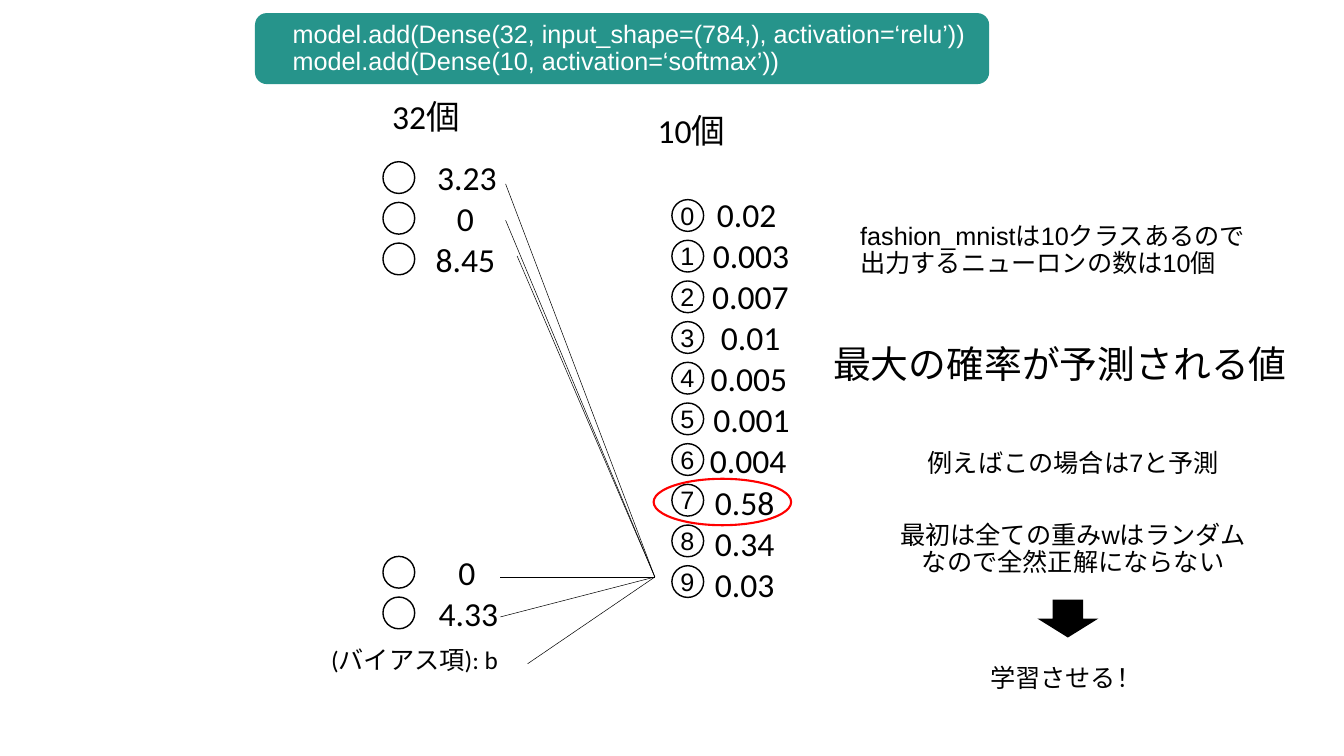
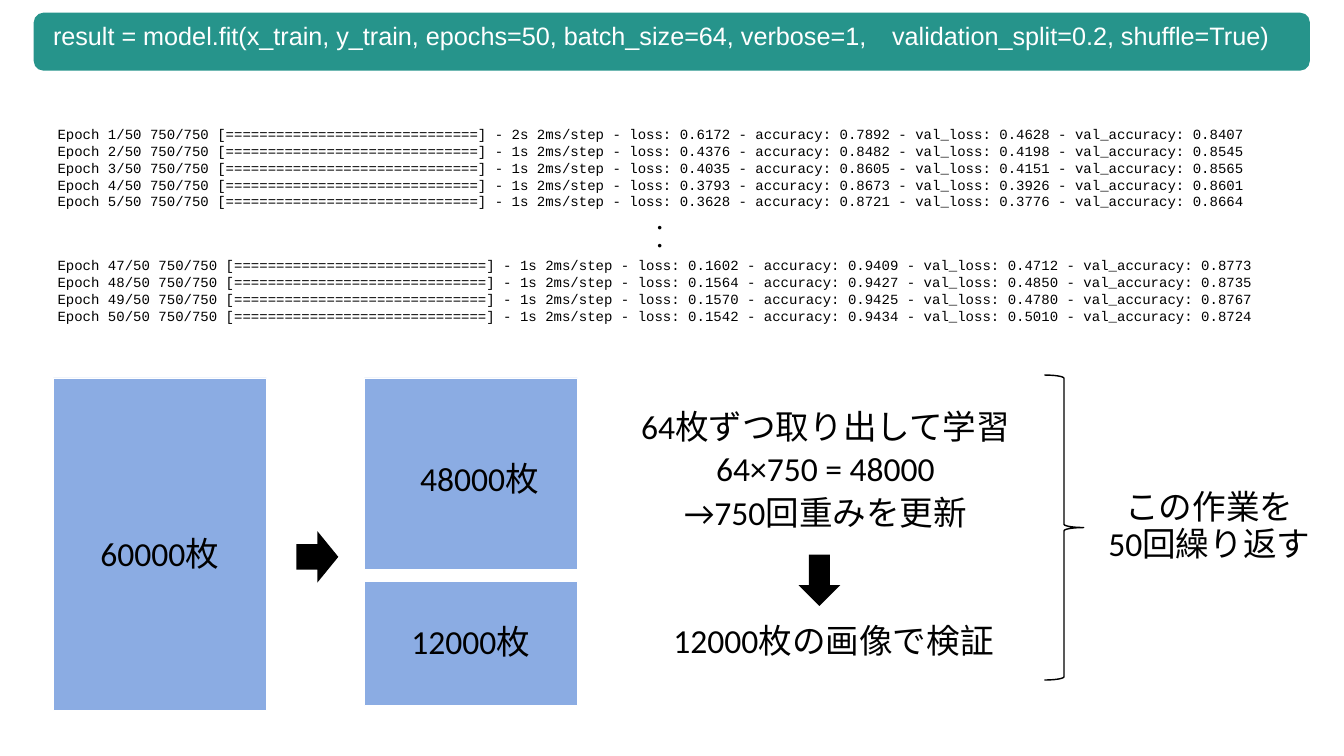
from lxml.etree import SubElement
from pptx import Presentation
from pptx.dml.color import RGBColor
from pptx.enum.shapes import MSO_CONNECTOR, MSO_SHAPE as Shape
from pptx.enum.text import MSO_ANCHOR as Anchor, PP_ALIGN as Align
from pptx.oxml.ns import qn
from pptx.util import Cm, Pt

# Shared look
BLACK = RGBColor(0, 0, 0)
WHITE = RGBColor(255, 255, 255)
TEAL = RGBColor(0x26, 0x94, 0x8B)
BLUE = RGBColor(0x8B, 0xAC, 0xE3)
RED = RGBColor(255, 0, 0)
SANS, BODY, MONO = "Arial", "Calibri", "Courier New"
ONE_LINE = 1.65   # height of a 36 pt text line
BIG_LINE = 2.11   # height of a 48 pt text line
NEURON_SIZE = 1.6
NEURON_PITCH = 2.05

# Hidden layer: circle top, value, left of the value
HIDDEN_TOPS = [8.15 + NEURON_PITCH * i for i in range(3)]
HIDDEN_TOPS += [28.04 + NEURON_PITCH * i for i in range(2)]
HIDDEN_VALUES = [("3.23", 21.46), ("0", 21.39), ("8.45", 21.39),
                 ("0", 21.46), ("4.33", 21.54)]

# Output layer: probability, left and width of its text
PROBABILITIES = [
    ("0.02", 35.56, 4.14), ("0.003", 34.98, 5.74), ("0.007", 35.46, 4.72),
    ("0.01", 35.76, 4.14), ("0.005", 35.38, 4.72), ("0.001", 35.46, 4.83),
    ("0.004", 35.46, 4.5), ("0.58", 35.46, 4.14), ("0.34", 35.46, 4.14),
    ("0.03", 35.46, 4.14),
]

# Starts of the weight lines; all of them meet at the last output neuron
WEIGHT_STARTS = [(25.48, 9.27), (25.48, 11.1), (26.06, 12.9),
                 (25.2, 29.08), (25.22, 31.09), (26.59, 33.45)]
WEIGHT_TARGET = (33, 29.08)

# Training log: epoch, seconds, loss, accuracy, val_loss, val_accuracy
FIRST_EPOCHS = [
    (1, 2, 0.6172, 0.7892, 0.4628, 0.8407),
    (2, 1, 0.4376, 0.8482, 0.4198, 0.8545),
    (3, 1, 0.4035, 0.8605, 0.4151, 0.8565),
    (4, 1, 0.3793, 0.8673, 0.3926, 0.8601),
    (5, 1, 0.3628, 0.8721, 0.3776, 0.8664),
]
LAST_EPOCHS = [
    (47, 1, 0.1602, 0.9409, 0.4712, 0.8773),
    (48, 1, 0.1564, 0.9427, 0.4850, 0.8735),
    (49, 1, 0.1570, 0.9425, 0.4780, 0.8767),
    (50, 1, 0.1542, 0.9434, 0.5010, 0.8724),
]


def write_text(frame, text, size=36, font=SANS, color=BLACK, align=Align.CENTER,
               anchor=Anchor.TOP, spacing=0.9, inset=None, wrap=True):
    """Fill a text frame, one paragraph per line of text."""
    frame.word_wrap = wrap
    frame.vertical_anchor = anchor
    if inset is not None:
        frame.margin_left = frame.margin_right = Cm(inset)
        frame.margin_top = frame.margin_bottom = Cm(inset)
    for i, line in enumerate(text.split("\n")):
        paragraph = frame.paragraphs[0] if i == 0 else frame.add_paragraph()
        paragraph.alignment = align
        paragraph.line_spacing = spacing
        run = paragraph.add_run()
        run.text = line
        run.font.size = Pt(size)
        run.font.name = font
        run.font.color.rgb = color


def add_label(slide, text, left, top, width, height=ONE_LINE, **style):
    box = slide.shapes.add_textbox(Cm(left), Cm(top), Cm(width), Cm(height))
    write_text(box.text_frame, text, **style)


def add_big_label(slide, text, left, top, width, height=BIG_LINE):
    add_label(slide, text, left, top, width, height, size=48, font=BODY)


def add_figure(slide, kind, left, top, width, height,
               fill=None, line=None, line_width=2, rotation=0):
    figure = slide.shapes.add_shape(kind, Cm(left), Cm(top), Cm(width), Cm(height))
    figure.shadow.inherit = False
    figure.rotation = rotation
    if fill is None:
        figure.fill.background()
    else:
        figure.fill.solid()
        figure.fill.fore_color.rgb = fill
    if line is None:
        figure.line.fill.background()
    else:
        figure.line.color.rgb = line
        figure.line.width = Pt(line_width)
    return figure


def add_code_band(slide, left, top, width, height):
    add_figure(slide, Shape.ROUNDED_RECTANGLE, left, top, width, height, fill=TEAL)


def add_arrow(slide, left, top, width, height, rotation=0):
    add_figure(slide, Shape.RIGHT_ARROW, left, top, width, height,
               fill=BLACK, rotation=rotation)


def add_neuron(slide, left, top):
    add_figure(slide, Shape.OVAL, left, top, NEURON_SIZE, NEURON_SIZE, line=BLACK)


def add_weight(slide, start, end):
    weight = slide.shapes.add_connector(
        MSO_CONNECTOR.STRAIGHT, *(Cm(v) for v in (*start, *end)))
    weight.line.color.rgb = BLACK
    weight.line.width = Pt(0.75)
    SubElement(weight._element.spPr, qn("a:effectLst"))


def add_log(slide, epochs, left, top, width, height):
    bar = "=" * 30
    lines = [
        f"Epoch {epoch}/50 750/750 [{bar}] - {seconds}s 2ms/step"
        f" - loss: {loss:.4f} - accuracy: {accuracy:.4f}"
        f" - val_loss: {val_loss:.4f} - val_accuracy: {val_accuracy:.4f}"
        for epoch, seconds, loss, accuracy, val_loss, val_accuracy in epochs]
    log = add_figure(slide, Shape.RECTANGLE, left, top, width, height, fill=WHITE)
    write_text(log.text_frame, "\n".join(lines), size=20, font=MONO,
               align=Align.LEFT, anchor=Anchor.MIDDLE, spacing=1.0, inset=0,
               wrap=False)


def build_network_slide(slide):
    # Layer definitions
    add_code_band(slide, 12.85, 0.66, 37, 3.58)
    add_label(slide, "model.add(Dense(32, input_shape=(784,), activation=‘relu’))\n"
              "model.add(Dense(10, activation=‘softmax’))",
              14.6, 0.94, 36.88, 3.05, color=WHITE, align=Align.LEFT,
              anchor=Anchor.MIDDLE, inset=0.15)

    # Hidden layer
    add_big_label(slide, "32個", 17.96, 4.95, 7)
    for top, (value, left) in zip(HIDDEN_TOPS, HIDDEN_VALUES):
        add_neuron(slide, 19.3, top)
        add_big_label(slide, value, left, top - 0.12, 4.14)
    add_label(slide, "(バイアス項): b", 15.72, 32.54, 10.34, font=BODY)

    # Weights into one output neuron
    for start in WEIGHT_STARTS:
        add_weight(slide, start, WEIGHT_TARGET)

    # Output layer
    add_big_label(slide, "10個", 31.34, 5.64, 7)
    for digit, (probability, left, width) in enumerate(PROBABILITIES):
        offset = NEURON_PITCH * digit
        add_neuron(slide, 33.86, 10.06 + offset)
        add_label(slide, str(digit), 33.35, 10.13 + offset, 2.57)
        add_big_label(slide, probability, left, 9.88 + 2.07 * digit, width)
    add_figure(slide, Shape.OVAL, 32.94, 24.13, 6.93, 2.34, line=RED, line_width=3)

    # Explanation
    add_label(slide, "fashion_mnistは10クラスあるので\n出力するニューロンの数は10個",
              43.1, 11.15, 26.14, 4.42, align=Align.LEFT)
    add_label(slide, "最大の確率が予測される値", 41.73, 17.32, 24.69, 2.34,
              size=54, align=Align.LEFT)
    add_label(slide, "例えばこの場合は7と予測", 45.59, 22.61, 17)
    add_label(slide, "最初は全ての重みwはランダムなので全然正解にならない",
              45.06, 26.21, 18.03, 3.02)
    add_arrow(slide, 52.86, 29.64, 1.91, 3.07, rotation=90)
    add_label(slide, "学習させる！", 47.17, 33.45, 13.08)


def build_training_slide(slide):
    # Training call
    add_code_band(slide, 1.7, 0.64, 64.31, 2.92)
    add_label(slide, "result = model.fit(x_train, y_train, epochs=50, batch_size=64, "
              "verbose=1,　validation_split=0.2, shuffle=True)",
              1.7, 1.09, 63.22, color=WHITE)

    # Training log
    add_log(slide, FIRST_EPOCHS, 2.9, 6.32, 60.71, 4.27)
    add_label(slide, "・\n・", 32.33, 10.95, 1.85, 2.13, size=24, font=BODY,
              anchor=Anchor.MIDDLE, inset=0.15)
    add_log(slide, LAST_EPOCHS, 2.9, 12.93, 61.14, 3.43)

    # Data split
    for left, top, height in [(2.69, 19.05, 16.74), (18.36, 19.05, 9.63),
                              (18.36, 29.31, 6.25)]:
        add_figure(slide, Shape.RECTANGLE, left, top, 10.74, height,
                   fill=BLUE, line=WHITE, line_width=1)
    add_big_label(slide, "60000枚", 1.98, 26.97, 12.14)
    add_big_label(slide, "48000枚", 17.2, 23.16, 13.92)
    add_big_label(slide, "12000枚", 19.33, 31.39, 8.79)
    add_arrow(slide, 14.94, 26.77, 2.11, 2.59)

    # One epoch
    add_big_label(slide, "64枚ずつ取り出して学習", 31.12, 20.57, 20.98)
    add_big_label(slide, "64×750 = 48000", 33.35, 22.68, 16.51)
    add_big_label(slide, "→750回重みを更新", 33.35, 24.89, 16.51)
    add_arrow(slide, 40, 28.19, 2.59, 2.11, rotation=90)
    add_big_label(slide, "12000枚の画像で検証", 31.95, 31.34, 20.12)

    # Repetition
    add_figure(slide, Shape.LEFT_BRACE, 52.63, 18.9, 1.98, 15.37,
               line=BLACK, rotation=180)
    add_big_label(slide, "この作業を\n50回繰り返す", 54.58, 24.61, 12.73, 3.96)


def main():
    deck = Presentation()
    deck.slide_width, deck.slide_height = Cm(67.73), Cm(38.1)
    blank = deck.slide_layouts[6]
    for build in (build_network_slide, build_training_slide):
        build(deck.slides.add_slide(blank))
    deck.save("out.pptx")


if __name__ == "__main__":
    main()
